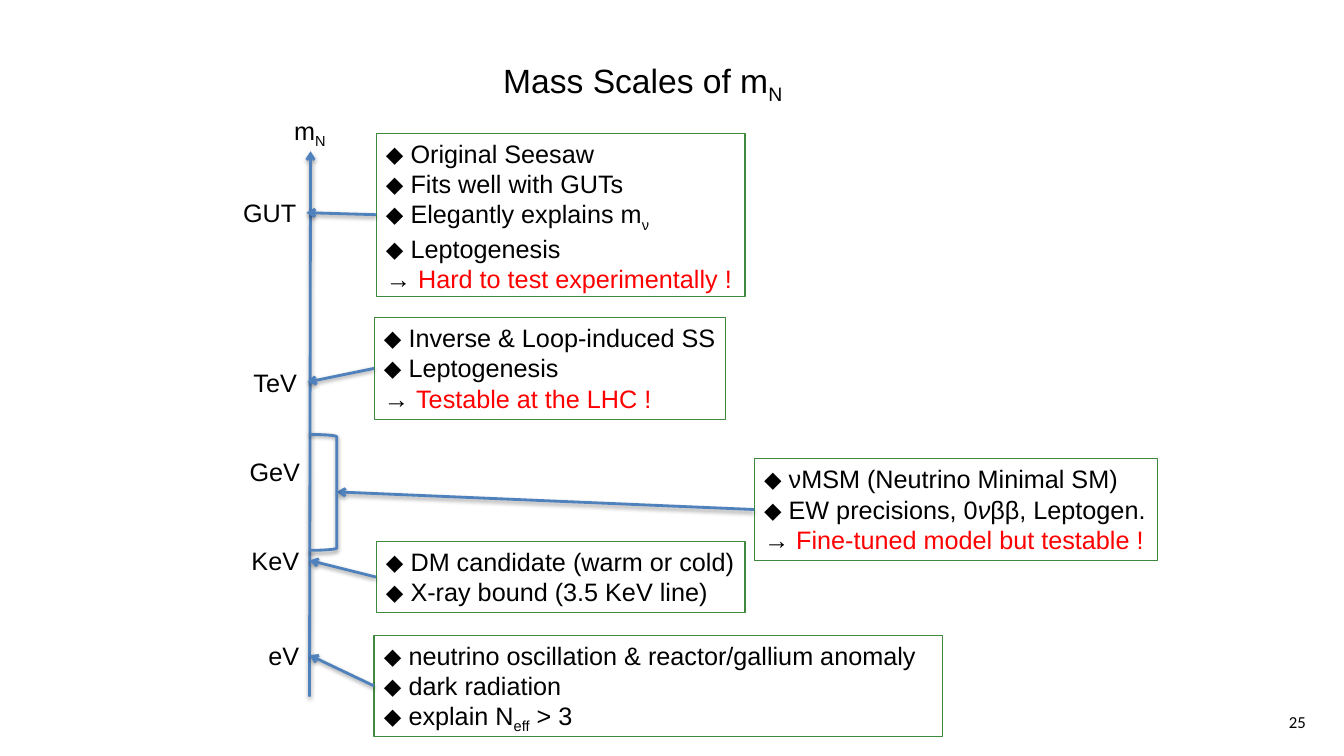
from lxml.etree import SubElement
from pptx import Presentation
from pptx.dml.color import RGBColor
from pptx.enum.shapes import MSO_CONNECTOR, MSO_SHAPE
from pptx.enum.text import MSO_ANCHOR, MSO_AUTO_SIZE, PP_ALIGN
from pptx.oxml.ns import qn
from pptx.util import Inches, Pt

BLACK = RGBColor(0x00, 0x00, 0x00)
RED = RGBColor(0xFF, 0x00, 0x00)
BLUE = RGBColor(0x4F, 0x81, 0xBD)
GREEN = RGBColor(0x3E, 0x89, 0x3E)

AXIS = 3.07

# text, left, top, width
LABELS = [
    (["m", ("N", "sub")], 2.81, 1.09, 0.53),
    (["GUT"], 2.31, 1.91, 0.73),
    (["TeV"], 2.41, 3.59, 0.64),
    (["GeV"], 2.37, 4.48, 0.71),
    (["KeV"], 2.39, 5.36, 0.68),
    (["eV"], 2.56, 6.3, 0.51),
]

# left, top, width, height, arrow tip, lines
BOXES = [
    (3.73, 1.32, 3.66, 1.62, (3.04, 2.11), [
        ["⬥ Original Seesaw"],
        ["⬥ Fits well with GUTs"],
        ["⬥ Elegantly explains m", ("ν", "sub")],
        ["⬥ Leptogenesis"],
        ["→ ", ("Hard to test experimentally !", "red")]]),
    (3.71, 3.15, 3.49, 1.01, (3.05, 3.79), [
        ["⬥ Inverse & Loop-induced SS"],
        ["⬥ Leptogenesis"],
        ["→ ", ("Testable at the LHC !", "red")]]),
    (7.48, 4.55, 4, 1.01, (3.34, 4.88), [
        ["⬥ νMSM (Neutrino Minimal SM)"],
        ["⬥ EW precisions, 0", ("ν", "ital"), "ββ, Leptogen."],
        ["→ ", ("Fine-tuned model but testable !", "red")]]),
    (3.73, 5.37, 3.66, 0.71, (AXIS, 5.56), [
        ["⬥ DM candidate (warm or cold)"],
        ["⬥ X-ray bound (3.5 KeV line)"]]),
    (3.71, 6.3, 5.64, 1.01, (AXIS, 6.5), [
        ["⬥ neutrino oscillation & reactor/gallium anomaly"],
        ["⬥ dark radiation"],
        ["⬥ explain N", ("eff", "sub"), " > 3"]]),
]


def write(shape, lines, size=18, face="Arial", align=PP_ALIGN.LEFT,
          anchor=MSO_ANCHOR.TOP, inset=(0.1, 0)):
    """Fill a shape with lines; a line is a list of strings or (string, style)."""
    frame = shape.text_frame
    frame.word_wrap = True
    frame.auto_size = MSO_AUTO_SIZE.NONE
    frame.vertical_anchor = anchor
    frame.margin_left, frame.margin_right = map(Inches, inset)
    frame.margin_top = frame.margin_bottom = Inches(0.05)
    for num, line in enumerate(lines):
        para = frame.add_paragraph() if num else frame.paragraphs[0]
        para.alignment = align
        for part in line:
            text, style = (part, "") if isinstance(part, str) else part
            run = para.add_run()
            run.text = text
            run.font.size = Pt(size)
            run.font.name = face
            run.font.color.rgb = RED if style == "red" else BLACK
            if style == "ital":
                run.font.italic = True
            if style == "sub":
                run.font._element.set("baseline", "-25000")


def place(shape, left, top, width, height):
    shape.left, shape.top = Inches(left), Inches(top)
    shape.width, shape.height = Inches(width), Inches(height)


def add_text(slide, lines, left, top, width, height=0.4, **form):
    box = slide.shapes.add_textbox(
        Inches(left), Inches(top), Inches(width), Inches(height))
    write(box, lines, **form)


def add_form(slide, kind, left, top, width, height, color, weight):
    """Add an unfilled outline shape."""
    shape = slide.shapes.add_shape(
        kind, Inches(left), Inches(top), Inches(width), Inches(height))
    shape.shadow.inherit = False
    shape.fill.background()
    shape.line.color.rgb = color
    shape.line.width = Pt(weight)
    return shape


def add_shade(shape):
    """Give a shape a soft shadow that falls straight down."""
    props = shape._element.spPr
    for old in props.findall(qn("a:effectLst")):
        props.remove(old)
    effect = SubElement(props, qn("a:effectLst"))
    shade = SubElement(
        effect, qn("a:outerShdw"), blurRad=str(Pt(3.1)), dist=str(Pt(1.6)),
        dir="5400000", rotWithShape="0")
    color = SubElement(shade, qn("a:srgbClr"), val=str(BLACK))
    SubElement(color, qn("a:alpha"), val="38000")


def add_arrow(slide, start, end, box=None):
    """Draw an arrow, joined to the left side of box if one is given."""
    arrow = slide.shapes.add_connector(
        MSO_CONNECTOR.STRAIGHT, *map(Inches, start + end))
    if box is not None:
        arrow.begin_connect(box, 1)
    arrow.line.color.rgb = BLUE
    arrow.line.width = Pt(2)
    SubElement(arrow.line._get_or_add_ln(), qn("a:tailEnd"), type="arrow")
    add_shade(arrow)


def add_box(slide, left, top, width, height, tip, lines):
    box = add_form(slide, MSO_SHAPE.RECTANGLE, left, top, width, height,
                   GREEN, 0.75)
    write(box, lines)
    add_arrow(slide, (left, top + height / 2), tip, box)


def main():
    deck = Presentation()
    deck.slide_width, deck.slide_height = Inches(13.33), Inches(7.5)
    slide = deck.slides.add_slide(deck.slide_layouts[5])

    title = slide.shapes.title
    place(title, 3.58, 0.54, 5.59, 0.5)
    write(title, [["Mass Scales of m", ("N", "sub")]], size=24,
          align=PP_ALIGN.CENTER, inset=(0.1, 0.1))

    add_arrow(slide, (AXIS, 6.91), (3.08, 1.5))
    for text, left, top, width in LABELS:
        add_text(slide, [text], left, top, width, align=PP_ALIGN.CENTER,
                 inset=(0, 0))
    for box in BOXES:
        add_box(slide, *box)
    add_shade(add_form(slide, MSO_SHAPE.RIGHT_BRACKET, AXIS, 4.31, 0.27, 1.15,
                       BLUE, 2))
    add_text(slide, [["25"]], 10.72, 6.96, 2.33, size=12, face="Calibri",
             align=PP_ALIGN.RIGHT, anchor=MSO_ANCHOR.MIDDLE, inset=(0.1, 0.1))
    deck.save("out.pptx")


if __name__ == "__main__":
    main()
